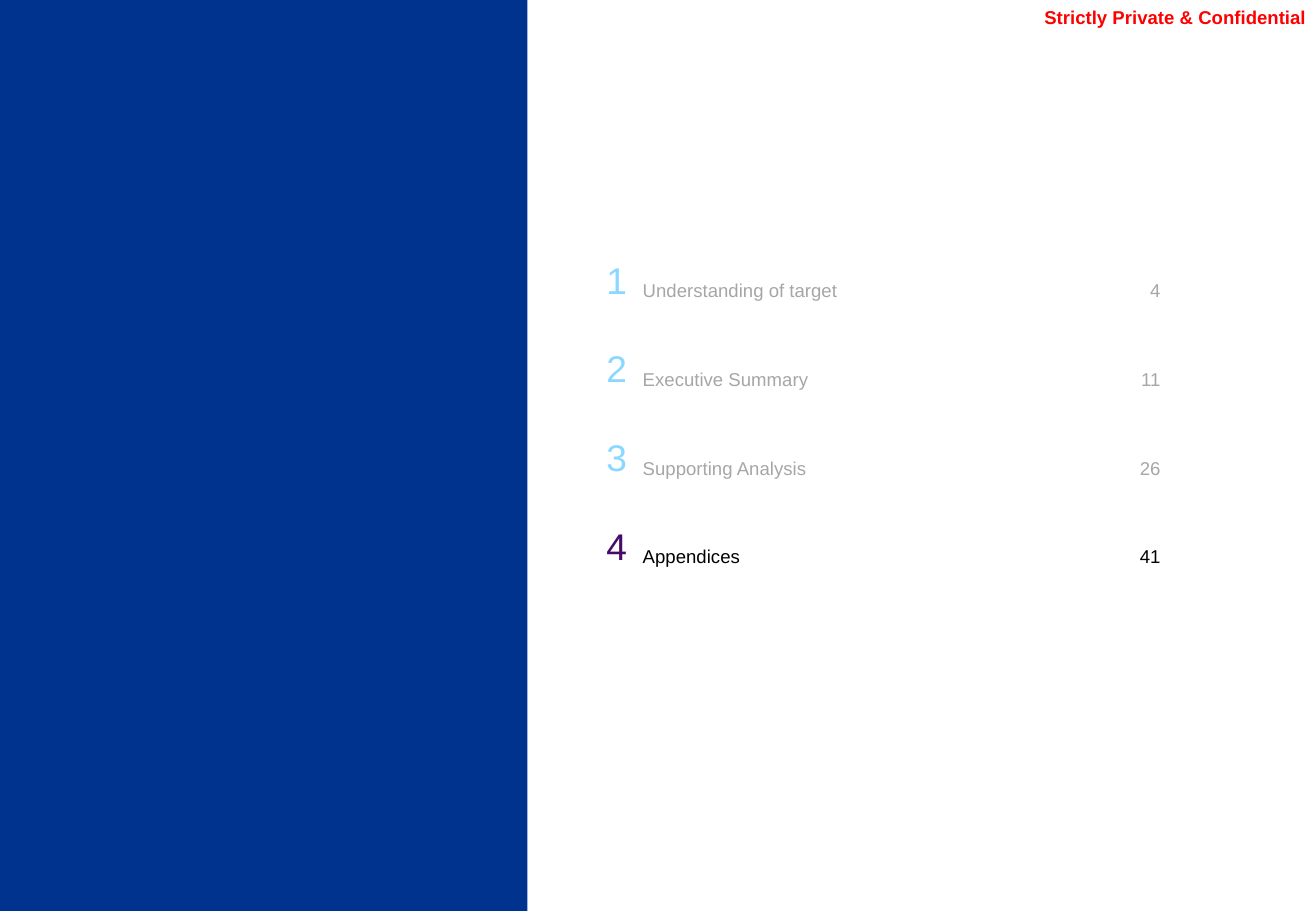
from pptx import Presentation
from pptx.dml.color import RGBColor
from pptx.enum.shapes import MSO_SHAPE
from pptx.enum.text import MSO_ANCHOR, PP_ALIGN
from pptx.util import Inches, Pt

NAVY = RGBColor(0x00, 0x33, 0x8D)
RED = RGBColor(0xFF, 0x00, 0x00)
SKY = RGBColor(0x8A, 0xD8, 0xFF)
PURPLE = RGBColor(0x47, 0x0A, 0x68)
GREY = RGBColor(0xA6, 0xA6, 0xA6)
BLACK = RGBColor(0x00, 0x00, 0x00)

SECTIONS = [
    ("Understanding of target", 4),
    ("Executive Summary", 11),
    ("Supporting Analysis", 26),
    ("Appendices", 41),
]
CURRENT_SECTION = 4
COLUMN_WIDTHS = (0.52, 3.99, 0.4)
ROW_HEIGHT = 0.73


class SlideBuilder:
    font_name = "Arial"

    def __init__(self, slide):
        self.slide = slide

    def add_run(self, paragraph, text, size, color, bold=False):
        run = paragraph.add_run()
        run.text = text
        run.font.name = self.font_name
        run.font.size = Pt(size)
        run.font.bold = bold
        run.font.color.rgb = color

    def set_margins(self, target, left, top, right, bottom):
        target.margin_left = Inches(left)
        target.margin_top = Inches(top)
        target.margin_right = Inches(right)
        target.margin_bottom = Inches(bottom)

    def panel(self, left, top, width, height, color):
        shape = self.slide.shapes.add_shape(
            MSO_SHAPE.RECTANGLE, Inches(left), Inches(top), Inches(width), Inches(height))
        shape.shadow.inherit = False
        shape.fill.solid()
        shape.fill.fore_color.rgb = color
        shape.line.fill.background()

    def label(self, left, top, width, height, text, size, color):
        shape = self.slide.shapes.add_textbox(
            Inches(left), Inches(top), Inches(width), Inches(height))
        frame = shape.text_frame
        frame.word_wrap = True
        frame.vertical_anchor = MSO_ANCHOR.BOTTOM
        self.set_margins(frame, 0, 0.04, 0.04, 0.04)
        paragraph = frame.paragraphs[0]
        paragraph.alignment = PP_ALIGN.RIGHT
        self.add_run(paragraph, text, size, color, bold=True)

    def cell(self, cell, text, size, color, alignment, margins):
        cell.fill.background()
        cell.vertical_anchor = MSO_ANCHOR.MIDDLE
        self.set_margins(cell, *margins)
        paragraph = cell.text_frame.paragraphs[0]
        paragraph.alignment = alignment
        self.add_run(paragraph, text, size, color)

    def contents(self, left, top, sections, current):
        table = self.slide.shapes.add_table(
            len(sections), len(COLUMN_WIDTHS), Inches(left), Inches(top),
            Inches(sum(COLUMN_WIDTHS)), Inches(ROW_HEIGHT * len(sections))).table
        table.first_row = False
        table.horz_banding = False
        for column, width in zip(table.columns, COLUMN_WIDTHS):
            column.width = Inches(width)
        for number, (title, page) in enumerate(sections, start=1):
            row = table.rows[number - 1]
            row.height = Inches(ROW_HEIGHT)
            number_color, text_color = (PURPLE, BLACK) if number == current else (SKY, GREY)
            number_cell, title_cell, page_cell = row.cells
            self.cell(number_cell, str(number), 22, number_color, PP_ALIGN.RIGHT,
                      (0.09, 0.05, 0.09, 0.05))
            self.cell(title_cell, title, 11, text_color, PP_ALIGN.LEFT,
                      (0.04, 0.22, 0, 0.05))
            self.cell(page_cell, str(page), 11, text_color, PP_ALIGN.RIGHT,
                      (0.09, 0.22, 0.09, 0.05))


def main():
    presentation = Presentation()
    presentation.slide_width = Inches(10.83)
    presentation.slide_height = Inches(7.5)
    builder = SlideBuilder(presentation.slides.add_slide(presentation.slide_layouts[6]))

    # Side panel
    builder.panel(0, 0, 4.34, 7.5, NAVY)

    # Confidentiality label
    builder.label(8.08, -0.01, 2.71, 0.28, "Strictly Private & Confidential", 11, RED)

    # Table of contents
    builder.contents(4.73, 1.95, SECTIONS, CURRENT_SECTION)

    presentation.save("out.pptx")


if __name__ == "__main__":
    main()
